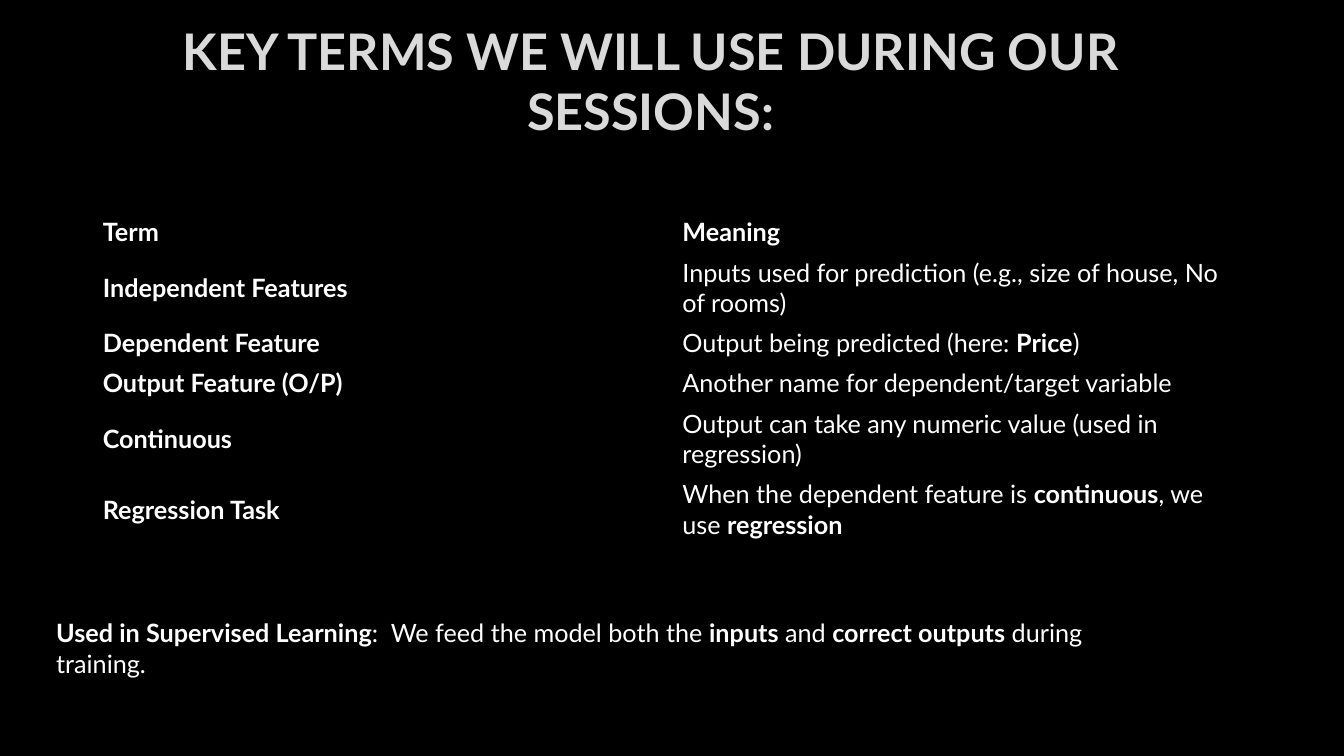
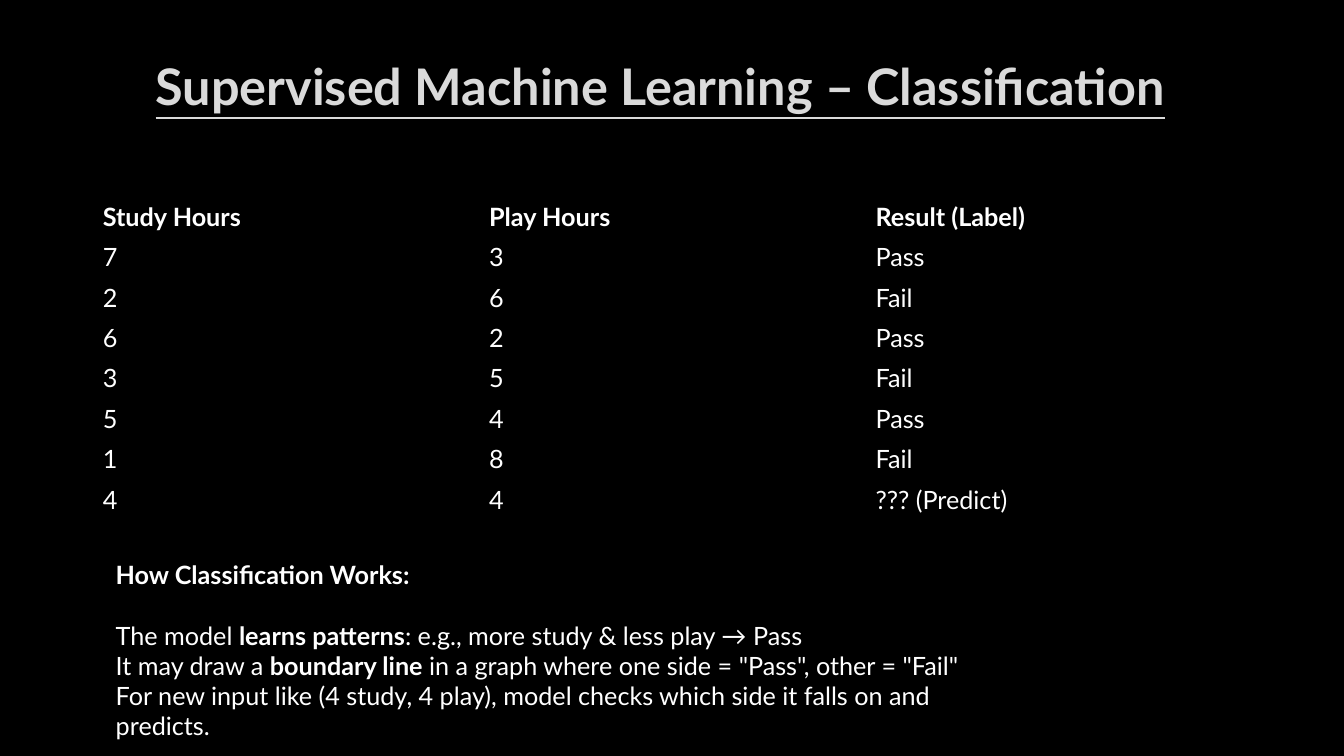
from lxml.etree import SubElement
from pptx import Presentation
from pptx.dml.color import RGBColor
from pptx.enum.text import MSO_ANCHOR, MSO_AUTO_SIZE, PP_ALIGN
from pptx.oxml.ns import qn
from pptx.util import Pt

BACKGROUND = RGBColor(0x00, 0x00, 0x00)
TITLE_COLOR = RGBColor(0xDA, 0xDA, 0xDA)
OUTLINE_COLOR = RGBColor(0x40, 0x40, 0x40)
TEXT_COLOR = RGBColor(0xFF, 0xFF, 0xFF)
FONT = "Lato"
TITLE_SIZE = 36
TEXT_SIZE = 18
LINE_HEIGHT = 21.6
ROW_HEIGHT = 28.8
TABLE_LEFT = 66.24
TABLE_WIDTH = 828
PLAIN_TABLE_STYLE = "{2D5ABB26-0587-4C30-8999-92F81FD0307C}"
BOLD_MARK = "**"

SLIDES = [
    {
        "title": "KEY TERMS WE WILL USE DURING OUR SESSIONS:",
        "title_box": (97.2, 16.56, 735.12, 81.36),
        "underline": False,
        "table_top": 151.2,
        "rows": [
            ("**Term**", "**Meaning**"),
            ("**Independent Features**", "Inputs used for prediction (e.g., size of house, No of rooms)"),
            ("**Dependent Feature**", "Output being predicted (here: **Price**)"),
            ("**Output Feature (O/P)**", "Another name for dependent/target variable"),
            ("**Continuous**", "Output can take any numeric value (used in regression)"),
            ("**Regression Task**", "When the dependent feature is **continuous**, we use **regression**"),
        ],
        "note_box": (33.12, 437.76, 765.36, 50.4),
        "note": [
            "**Used in Supervised Learning**:  We feed the model both the **inputs** and "
            "**correct outputs** during training.",
        ],
    },
    {
        "title": "Supervised Machine Learning – Classification",
        "title_box": (102.24, 20.16, 738.72, 81.36),
        "underline": True,
        "table_top": 140.4,
        "rows": [
            ("**Study Hours**", "**Play Hours**", "**Result (Label)**"),
            ("7", "3", "Pass"),
            ("2", "6", "Fail"),
            ("6", "2", "Pass"),
            ("3", "5", "Fail"),
            ("5", "4", "Pass"),
            ("1", "8", "Fail"),
            ("4", "4", "??? (Predict)"),
        ],
        "note_box": (75.6, 396, 629.28, 138.24),
        "note": [
            "**How Classification Works:**",
            "The model **learns patterns**: e.g., more study & less play → Pass",
            'It may draw a **boundary line** in a graph where one side = "Pass", other = "Fail"',
            "For new input like (4 study, 4 play), model checks which side it falls on and predicts.",
        ],
    },
]


def format_font(font, size, color, bold):
    font.name = FONT
    font.size = Pt(size)
    font.bold = bold
    font.color.rgb = color


def write_marked(paragraph, text):
    for index, part in enumerate(text.split(BOLD_MARK)):
        if part:
            run = paragraph.add_run()
            run.text = part
            format_font(run.font, TEXT_SIZE, TEXT_COLOR, index % 2 == 1)


def outline_text(run):
    line = SubElement(run._r.get_or_add_rPr(), qn("a:ln"), w=str(Pt(0.75)))
    fill = SubElement(line, qn("a:solidFill"))
    color = SubElement(fill, qn("a:srgbClr"), val=str(OUTLINE_COLOR))
    SubElement(color, qn("a:alpha"), val="10000")
    run._r.rPr.insert(0, line)


def set_title(slide, text, box, underline):
    title = slide.shapes.title
    title.left, title.top, title.width, title.height = map(Pt, box)
    frame = title.text_frame
    frame.text = text
    frame.auto_size = MSO_AUTO_SIZE.NONE
    frame.vertical_anchor = MSO_ANCHOR.MIDDLE
    paragraph = frame.paragraphs[0]
    paragraph.alignment = PP_ALIGN.CENTER
    run = paragraph.runs[0]
    format_font(run.font, TITLE_SIZE, TITLE_COLOR, True)
    run.font.underline = underline
    outline_text(run)


def add_plain_table(slide, rows, top):
    column_count = len(rows[0])
    frame = slide.shapes.add_table(
        len(rows), column_count, Pt(TABLE_LEFT), Pt(top),
        Pt(TABLE_WIDTH), Pt(ROW_HEIGHT * len(rows)))
    table = frame.table
    table.first_row = table.horz_banding = False
    table._tbl.tblPr.find(qn("a:tableStyleId")).text = PLAIN_TABLE_STYLE
    for column in table.columns:
        column.width = Pt(TABLE_WIDTH / column_count)
    for row, texts in zip(table.rows, rows):
        row.height = Pt(ROW_HEIGHT)
        for cell, text in zip(row.cells, texts):
            cell.fill.background()
            cell.vertical_anchor = MSO_ANCHOR.MIDDLE
            write_marked(cell.text_frame.paragraphs[0], text)


def add_note(slide, lines, box):
    frame = slide.shapes.add_textbox(*map(Pt, box)).text_frame
    frame.word_wrap = True
    frame.auto_size = MSO_AUTO_SIZE.SHAPE_TO_FIT_TEXT
    for index, line in enumerate(lines):
        paragraph = frame.add_paragraph() if index else frame.paragraphs[0]
        write_marked(paragraph, line)
    if len(lines) > 1:
        frame.paragraphs[0].space_after = Pt(LINE_HEIGHT)


def main():
    presentation = Presentation()
    presentation.slide_width = Pt(960)
    presentation.slide_height = Pt(540)
    background = presentation.slide_master.background.fill
    background.solid()
    background.fore_color.rgb = BACKGROUND
    title_only = presentation.slide_layouts.get_by_name("Title Only")
    for content in SLIDES:
        slide = presentation.slides.add_slide(title_only)
        set_title(slide, content["title"], content["title_box"], content["underline"])
        add_plain_table(slide, content["rows"], content["table_top"])
        add_note(slide, content["note"], content["note_box"])
    presentation.save("out.pptx")


if __name__ == "__main__":
    main()
